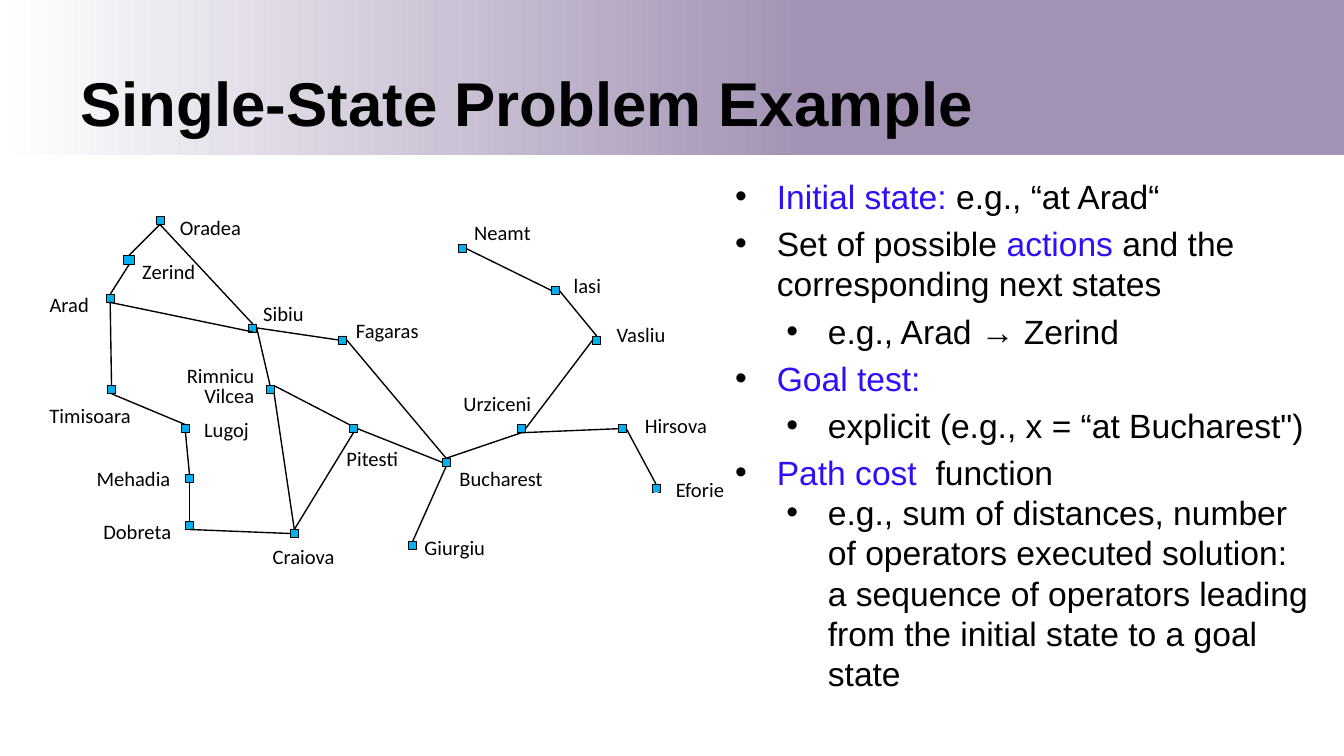
from lxml import etree
from pptx import Presentation
from pptx.dml.color import RGBColor
from pptx.enum.shapes import MSO_CONNECTOR, MSO_SHAPE
from pptx.enum.text import MSO_ANCHOR, MSO_AUTO_SIZE, PP_ALIGN
from pptx.oxml.ns import qn
from pptx.util import Inches, Pt

RECTANGLE = MSO_SHAPE.RECTANGLE
STRAIGHT = MSO_CONNECTOR.STRAIGHT
LEFT, RIGHT = PP_ALIGN.LEFT, PP_ALIGN.RIGHT
MIDDLE, TOP = MSO_ANCHOR.MIDDLE, MSO_ANCHOR.TOP
NO_AUTOFIT = MSO_AUTO_SIZE.NONE

COLORS = {name: RGBColor.from_string(value) for name, value in {
    "black": "000000", "white": "FFFFFF", "band": "A293B4",
    "node": "00B0F0", "term": "2F0EF8"}.items()}

# The 16:9 slide is 1000 square grid cells wide
COLUMNS = 1000
SLIDE_WIDTH = Inches(10)
SLIDE_HEIGHT = SLIDE_WIDTH * 9 // 16
CELL = SLIDE_WIDTH // COLUMNS


def place(shape, left, top, width, height):
    shape.left, shape.top = left * CELL, top * CELL
    shape.width, shape.height = width * CELL, height * CELL


def add_run(paragraph, text, font_name, size, color="black", bold=False):
    run = paragraph.add_run()
    run.text = text
    run.font.name, run.font.size, run.font.bold = font_name, Pt(size), bold
    run.font.color.rgb = COLORS[color]


presentation = Presentation()
presentation.slide_width = SLIDE_WIDTH
presentation.slide_height = SLIDE_HEIGHT
slide = presentation.slides.add_slide(presentation.slide_layouts[1])
title, body = slide.shapes.title, slide.placeholders[1]

# Gradient band behind the title
band = slide.shapes.add_shape(RECTANGLE, 0, 0, SLIDE_WIDTH, 115 * CELL)
band.shadow.inherit = False
band.line.fill.background()
band.fill.gradient()
band.fill.gradient_angle = 0
for stop, position, color in zip(band.fill.gradient_stops, (0, 0.6), ("white", "band")):
    stop.position = position
    stop.color.rgb = COLORS[color]
title.element.addprevious(band.element)

# Title
place(title, 50, 46, 900, 59)
title.text_frame.auto_size = NO_AUTOFIT
title.text_frame.vertical_anchor = MIDDLE
title.text_frame.paragraphs[0].alignment = LEFT
add_run(title.text_frame.paragraphs[0], "Single-State Problem Example", "Arial", 33.1, bold=True)

# Problem definition: level, space before, runs
definition = [
    (0, 0, [("Initial state: ", "term"), ("e.g., “at Arad“", "black")]),
    (0, 3.6, [("Set of possible ", "black"), ("actions", "term"),
              (" and the corresponding next states", "black")]),
    (1, 3.6, [("e.g., Arad → Zerind", "black")]),
    (0, 3.6, [("Goal test:", "term")]),
    (1, 3.6, [("explicit (e.g., x = “at Bucharest\")", "black")]),
    (0, 3.6, [("Path cost ", "term"), (" function", "black")]),
    (1, 0, [("e.g., sum of distances, number of operators executed solution:\v"
             "a sequence of operators leading from the initial state to a goal state", "black")]),
]
place(body, 537, 126, 452, 416)
body.text_frame.auto_size = NO_AUTOFIT
body.text_frame.vertical_anchor = TOP
for index, (level, space_before, runs) in enumerate(definition):
    paragraph = body.text_frame.paragraphs[0] if index == 0 else body.text_frame.add_paragraph()
    paragraph.level = level
    paragraph.alignment = LEFT
    paragraph.space_before = Pt(space_before)
    properties = paragraph._p.get_or_add_pPr()
    properties.set("marL", str((31 + 38 * level) * CELL))
    properties.set("indent", str(-31 * CELL))
    bullet_color = etree.SubElement(properties, qn("a:buClr"))
    etree.SubElement(bullet_color, qn("a:srgbClr"), val=str(COLORS["black"]))
    etree.SubElement(properties, qn("a:buFont"), typeface="Arial")
    etree.SubElement(properties, qn("a:buChar"), char="•")
    for text, color in runs:
        # A vertical tab in the text marks a line break
        for part, line in enumerate(text.split("\v")):
            if part:
                paragraph.add_line_break()
            add_run(paragraph, line, "Arial", 18, color)

# Cities: node left and top, label left, top and width
cities = {
    "Oradea": (116, 161, 124, 155, 78),
    "Zerind": (92, 190, 96, 188, 69),
    "Arad": (79, 219, 27, 212, 51),
    "Timisoara": (80, 287, 27, 295, 93),
    "Lugoj": (135, 316, 142, 305, 58),
    "Mehadia": (138, 353, 62, 342, 94),
    "Dobreta": (138, 388, 67, 381, 72),
    "Sibiu": (185, 241, 186, 219, 60),
    "Fagaras": (252, 250, 255, 232, 75),
    "Rimnicu Vilcea": (198, 287, 100, 269, 99),
    "Pitesti": (260, 316, 248, 327, 76),
    "Craiova": (216, 394, 193, 400, 75),
    "Bucharest": (329, 341, 332, 342, 106),
    "Giurgiu": (304, 403, 306, 393, 78),
    "Urziceni": (385, 316, 335, 286, 76),
    "Hirsova": (460, 316, 470, 302, 80),
    "Eforie": (485, 360, 493, 350, 94),
    "Vasliu": (441, 250, 449, 235, 72),
    "lasi": (410, 213, 417, 198, 42),
    "Neamt": (341, 182, 343, 159, 84),
}
nodes = {}
for city, (left, top, *label_place) in cities.items():
    node = slide.shapes.add_shape(RECTANGLE, 0, 0, 0, 0)
    place(node, left, top, *((8, 7) if city == "Zerind" else (6, 6)))
    node.shadow.inherit = False
    node.fill.solid()
    node.fill.fore_color.rgb = COLORS["node"]
    node.line.color.rgb = COLORS["black"]
    node.line.width = Pt(0.25)
    nodes[city] = node

    two_lines = " " in city
    label = slide.shapes.add_textbox(0, 0, 0, 0)
    place(label, *label_place, 40 if two_lines else 29)
    label.text_frame.word_wrap = True
    paragraph = label.text_frame.paragraphs[0]
    if two_lines:
        paragraph.alignment = RIGHT
        paragraph.line_spacing = 0.8
    add_run(paragraph, city, "Calibri", 11)

# Roads run between node sides; corners are given as shares of the node
SIDES = {"top": 0, "left": 1, "bottom": 2, "right": 3}
CORNERS = {"top left": (0, 0), "top right": (1, 0), "bottom right": (1, 1)}
roads = [
    ("Oradea", "bottom", "Zerind", "top"),
    ("Zerind", "bottom", "Arad", "top"),
    ("Arad", "bottom", "Timisoara", "top"),
    ("Timisoara", "bottom", "Lugoj", "top"),
    ("Lugoj", "bottom", "Mehadia", "top"),
    ("Mehadia", "bottom", "Dobreta", "top"),
    ("Arad", "bottom", "Sibiu", "bottom"),
    ("Oradea", "bottom", "Sibiu", "top"),
    ("Dobreta", "bottom", "Craiova", "left"),
    ("Sibiu", "right", "Rimnicu Vilcea", "top"),
    ("Rimnicu Vilcea", "bottom right", "Craiova", "top"),
    ("Sibiu", "right", "Fagaras", "left"),
    ("Rimnicu Vilcea", "top right", "Pitesti", "top left"),
    ("Pitesti", "bottom", "Craiova", "top"),
    ("Pitesti", "right", "Bucharest", "left"),
    ("Fagaras", "right", "Bucharest", "top"),
    ("Bucharest", "bottom", "Giurgiu", "top"),
    ("Bucharest", "top", "Urziceni", "bottom"),
    ("Urziceni", "bottom", "Hirsova", "left"),
    ("Hirsova", "right", "Eforie", "top"),
    ("Vasliu", "left", "Urziceni", "right"),
    ("Neamt", "right", "lasi", "left"),
    ("lasi", "right", "Vasliu", "top"),
]
for start, start_site, end, end_site in roads:
    points = []
    for city, site in ((start, start_site), (end, end_site)):
        node = nodes[city]
        across, down = CORNERS.get(site, (0.5, 0.5))
        points += [int(node.left + across * node.width), int(node.top + down * node.height)]
    road = slide.shapes.add_connector(STRAIGHT, *points)
    if start_site in SIDES:
        road.begin_connect(nodes[start], SIDES[start_site])
    if end_site in SIDES:
        road.end_connect(nodes[end], SIDES[end_site])
    road.line.color.rgb = COLORS["black"]
    road.line.width = Pt(0.75)
    etree.SubElement(road.element.spPr, qn("a:effectLst"))

presentation.save("out.pptx")
